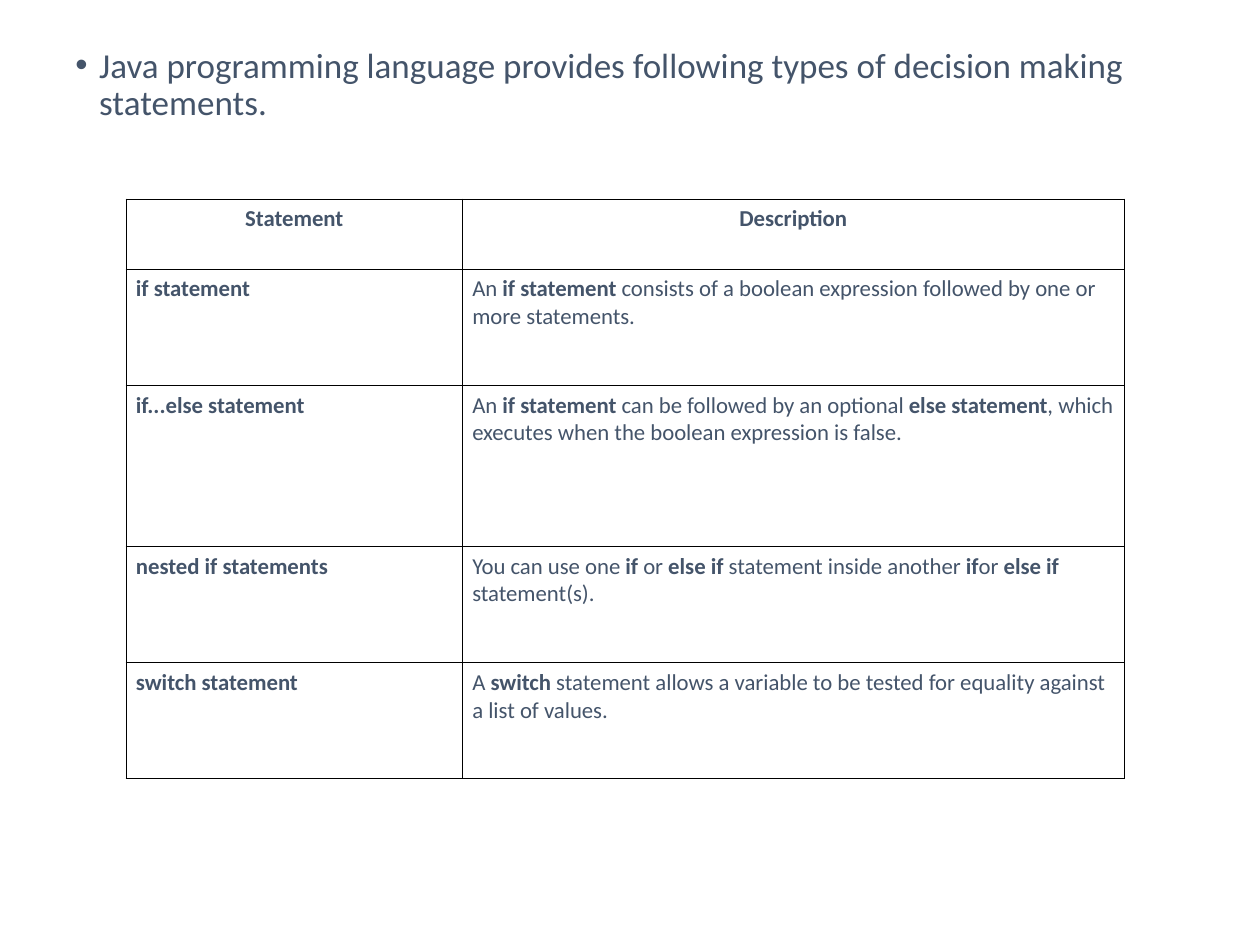
from lxml import etree
from pptx import Presentation
from pptx import util as u
from pptx.dml.color import RGBColor
from pptx.enum import text
from pptx.oxml.ns import qn

INK = "44546A"
ROWS = [
    ("if statement",
     "An |if statement| consists of a boolean expression followed by one or more statements."),
    ("if...else statement",
     "An |if statement| can be followed by an optional |else statement|, "
     "which executes when the boolean expression is false."),
    ("nested if statements",
     "You can use one |if| or |else if| statement inside another |if|or |else if| statement(s)."),
    ("switch statement",
     "A |switch| statement allows a variable to be tested for equality against a list of values."),
]


def add_runs(p, marked, size):
    """Add text to a paragraph; parts between bars are bold."""
    for i, part in enumerate(marked.split("|")):
        if part:
            r = p.add_run()
            r.text = part
            r.font.name = "Calibri"
            r.font.size = u.Pt(size)
            r.font.bold = i % 2 == 1
            r.font.color.rgb = RGBColor.from_string(INK)


def add_borders(cell, color, width):
    tcPr = cell._tc.get_or_add_tcPr()
    for i, side in enumerate(("lnL", "lnR", "lnT", "lnB")):
        ln = etree.Element(qn("a:" + side), w=str(int(u.Pt(width))))
        fill = etree.SubElement(ln, qn("a:solidFill"))
        etree.SubElement(fill, qn("a:srgbClr"), val=color)
        tcPr.insert(i, ln)


prs = Presentation()
prs.slide_width, prs.slide_height = u.Cm(25.4), u.Cm(19.05)
s = prs.slides.add_slide(prs.slide_layouts[6])

# Introduction
tf = s.shapes.add_textbox(u.Cm(1.27), u.Cm(0.84), u.Cm(22.86), u.Cm(2.5)).text_frame
tf.word_wrap = True
p = tf.paragraphs[0]
p.line_spacing = 0.9
p.space_before = u.Pt(7.5)
add_runs(p, "Java programming language provides following types of decision making statements.", 20)
pPr = p._p.get_or_add_pPr()
pPr.set("marL", str(u.Cm(0.48)))
pPr.set("indent", str(-u.Cm(0.48)))
color = etree.SubElement(pPr, qn("a:buClr"))
etree.SubElement(color, qn("a:srgbClr"), val=INK)
etree.SubElement(pPr, qn("a:buFont"), typeface="Arial")
etree.SubElement(pPr, qn("a:buChar"), char="•")

# Table of statements
widths = [6.78, 13.34]
heights = [1.41, 2.34, 3.25, 2.34, 2.34]
table = s.shapes.add_table(len(heights), len(widths), u.Cm(2.54), u.Cm(4.01),
                           u.Cm(sum(widths)), u.Cm(sum(heights))).table
table.first_row = table.horz_banding = False
for col, width in zip(table.columns, widths):
    col.width = u.Cm(width)
for row, height in zip(table.rows, heights):
    row.height = u.Cm(height)

contents = [("|Statement", "|Description")] + [("|" + name, desc) for name, desc in ROWS]
for i, row in enumerate(contents):
    for j, marked in enumerate(row):
        cell = table.cell(i, j)
        cell.fill.background()
        cell.margin_left = cell.margin_right = u.Cm(0.2)
        cell.margin_top = cell.margin_bottom = u.Cm(0.13)
        add_borders(cell, "000000", 0.45)
        p = cell.text_frame.paragraphs[0]
        if i == 0:
            p.alignment = text.PP_ALIGN.CENTER
        elif j == 0:
            p.alignment = text.PP_ALIGN.JUSTIFY
        else:
            p.alignment = text.PP_ALIGN.LEFT
        add_runs(p, marked, 13)

prs.save("out.pptx")
